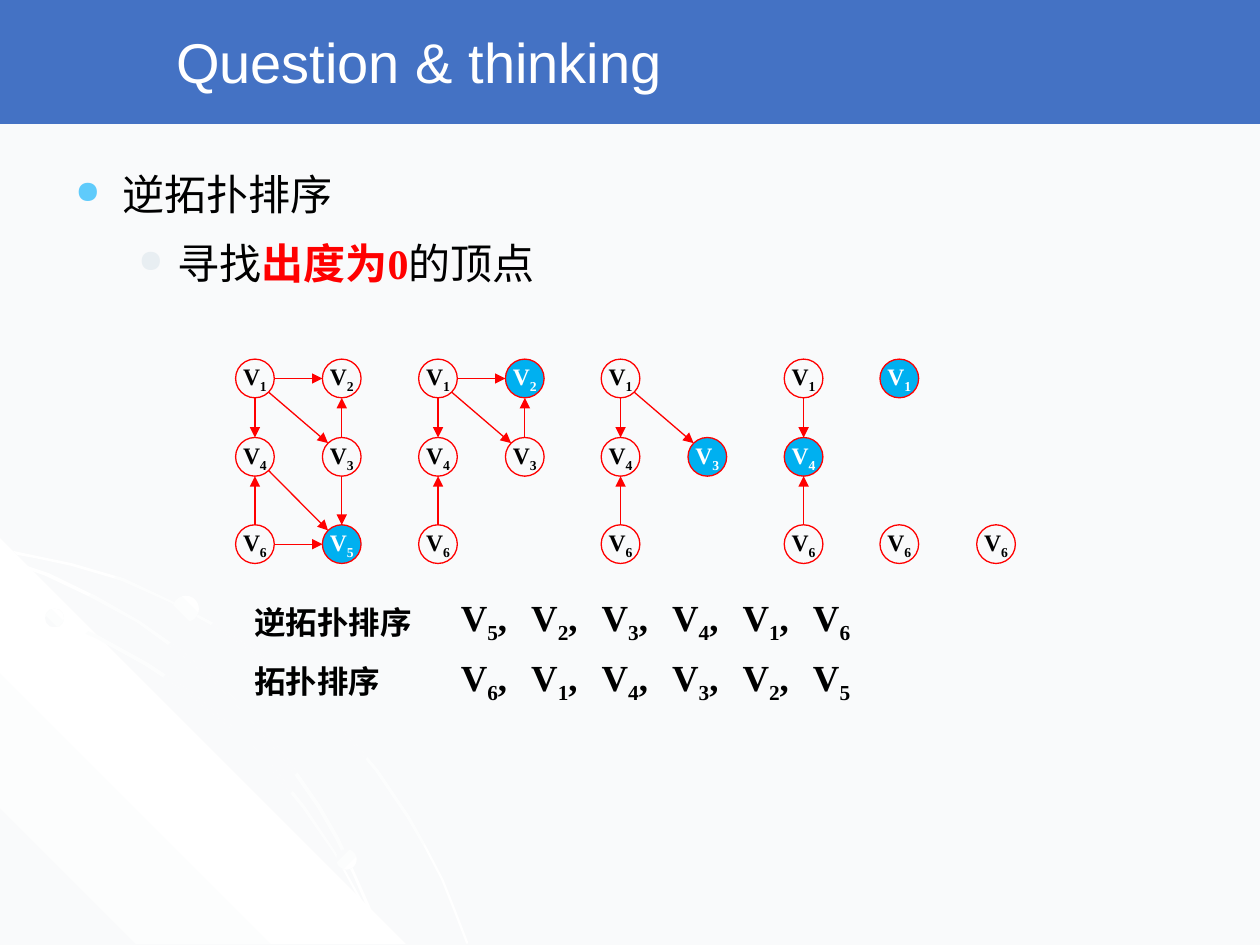
from lxml import etree
from pptx import Presentation
from pptx.dml.color import RGBColor
from pptx.enum.shapes import MSO_CONNECTOR, MSO_SHAPE
from pptx.enum.text import MSO_ANCHOR, MSO_AUTO_SIZE, PP_ALIGN
from pptx.oxml.ns import qn
from pptx.util import Cm, Pt

OVAL, RECTANGLE = MSO_SHAPE.OVAL, MSO_SHAPE.RECTANGLE
STRAIGHT = MSO_CONNECTOR.STRAIGHT
MIDDLE, CENTER = MSO_ANCHOR.MIDDLE, PP_ALIGN.CENTER
FIT_SHAPE = MSO_AUTO_SIZE.SHAPE_TO_FIT_TEXT

PALE = RGBColor(0xF9, 0xFA, 0xFB)
WHITE = RGBColor(0xFF, 0xFF, 0xFF)
BLACK = RGBColor(0, 0, 0)
RED = RGBColor(0xFF, 0, 0)
BANNER_BLUE = RGBColor(0x44, 0x72, 0xC4)
SINK_BLUE = RGBColor(0, 0xB0, 0xF0)
SKY_BULLET = RGBColor(0x5F, 0xCB, 0xFB)
GREY_BULLET = RGBColor(0xE8, 0xEE, 0xF2)

POSITIONS = {1: (0, 7.63), 2: (1.75, 7.63), 4: (0, 9.21),
             3: (1.75, 9.21), 6: (0, 10.97), 5: (1.75, 10.97)}
EDGES = [(1, 2), (1, 4), (1, 3), (4, 5), (3, 2), (6, 4), (6, 5), (3, 5)]
REVERSE_ORDER = [5, 2, 3, 4, 1, 6]
STAGE_CENTERS = [5.14, 8.83, 12.51, 16.2, 18.13, 20.08]
RADIUS = 0.39

OUTER_STREAK = [
    (57, 447), (28, 441), (0, 435), (0, 438), (28, 443), (56, 449), (97, 461),
    (135, 478), (173, 499), (208, 523), (241, 549), (271, 579), (298, 612),
    (323, 649), (337, 673), (350, 698), (360, 723), (370, 749), (372, 749),
    (362, 723), (352, 698), (339, 673), (325, 648), (300, 611), (272, 578),
    (242, 548), (209, 521), (174, 497), (136, 477), (98, 459)]
CORNER = [(322, 749), (0, 749), (0, 427)]
LOWER_STREAK = [
    (285, 714), (294, 732), (301, 749), (303, 749), (296, 730), (286, 712),
    (266, 676), (242, 640), (215, 606), (184, 576), (152, 549), (117, 526),
    (79, 505), (41, 488), (0, 475), (0, 477), (39, 490), (77, 507), (115, 528),
    (150, 551), (183, 578), (213, 608), (240, 641), (265, 677)]
MIDDLE_STREAK = [
    (0, 442), (0, 444), (36, 457), (74, 475), (109, 494), (142, 518),
    (173, 544), (202, 575), (227, 605), (252, 641), (267, 667), (280, 694),
    (292, 722), (301, 749), (303, 749), (294, 720), (282, 693), (269, 665),
    (254, 639), (229, 603), (204, 573), (175, 543), (144, 516), (111, 493),
    (76, 473), (39, 455)]


def add_run(paragraph, text, size=24, color=BLACK, bold=False,
            font="Times New Roman", baseline=0):
    run = paragraph.add_run()
    run.text = text
    run.font.size = Pt(size)
    run.font.name = font
    run.font.bold = bold
    run.font.color.rgb = color
    if baseline:
        run._r.get_or_add_rPr().set("baseline", str(baseline * 1000))


def add_vertex_name(paragraph, number, **style):
    add_run(paragraph, "V", **style)
    add_run(paragraph, str(number), baseline=-25, **style)


class SlideBuilder:
    def __init__(self, slide):
        self.slide = slide
        self.shapes = slide.shapes
        slide.background.fill.solid()
        slide.background.fill.fore_color.rgb = PALE

    def start_group(self):
        self.shapes = self.slide.shapes.add_group_shape().shapes

    def end_group(self):
        self.shapes = self.slide.shapes

    def shape(self, kind, left, top, width, height, fill=None, line=None, weight=0.75):
        shape = self.shapes.add_shape(kind, Cm(left), Cm(top), Cm(width), Cm(height))
        shape.shadow.inherit = False
        if fill is None:
            shape.fill.background()
        else:
            shape.fill.solid()
            shape.fill.fore_color.rgb = fill
        if line is None:
            shape.line.fill.background()
        else:
            shape.line.color.rgb = line
            shape.line.width = Pt(weight)
        return shape

    def gradient(self, shape, colors, angle):
        shape.fill.gradient()
        shape.fill.gradient_angle = 360 - angle
        stops = shape._element.spPr.find(".//" + qn("a:gsLst"))
        for stop in list(stops):
            stops.remove(stop)
        for index, color in enumerate(colors):
            position = 100000 * index // (len(colors) - 1)
            stop = etree.SubElement(stops, qn("a:gs"), pos=str(position))
            etree.SubElement(stop, qn("a:srgbClr"), val=str(color))

    def outline(self, points, colors, angle):
        builder = self.shapes.build_freeform(*points[0], scale=Cm(2.54) / 100)
        builder.add_line_segments(points[1:], close=True)
        outline = builder.convert_to_shape()
        outline.shadow.inherit = False
        outline.line.fill.background()
        self.gradient(outline, colors, angle)

    def dot(self, left, top, size, angle):
        self.gradient(self.shape(OVAL, left, top, size, size), [PALE, WHITE], angle)

    def text(self, left, top, width, height, wrap=False):
        box = self.shapes.add_textbox(Cm(left), Cm(top), Cm(width), Cm(height))
        frame = box.text_frame
        frame.word_wrap = wrap
        if not wrap:
            frame.auto_size = FIT_SHAPE
        return frame

    def bullet(self, paragraph, color, margin, hanging):
        paragraph.line_spacing = 1.2
        properties = paragraph._p.get_or_add_pPr()
        properties.set("marL", str(Cm(margin)))
        properties.set("indent", str(-Cm(hanging)))
        tint = etree.SubElement(properties, qn("a:buClr"))
        etree.SubElement(tint, qn("a:srgbClr"), val=str(color))
        etree.SubElement(properties, qn("a:buSzPct"), val="75000")
        etree.SubElement(properties, qn("a:buChar"), char="●")

    def vertex(self, number, x, y, is_sink):
        circle = self.shape(OVAL, x - RADIUS, y - RADIUS, 2 * RADIUS, 2 * RADIUS,
                            fill=SINK_BLUE if is_sink else None, line=RED)
        frame = circle.text_frame
        frame.margin_left = frame.margin_right = 0
        frame.margin_top = frame.margin_bottom = 0
        frame.word_wrap = False
        frame.vertical_anchor = MIDDLE
        label = frame.paragraphs[0]
        label.alignment = CENTER
        add_vertex_name(label, number, size=13.5, bold=True,
                        color=WHITE if is_sink else BLACK)

    def edge(self, x1, y1, x2, y2):
        step_x = (x2 > x1) - (x2 < x1)
        step_y = (y2 > y1) - (y2 < y1)
        reach = RADIUS * (0.71 if step_x and step_y else 1)
        dx, dy = step_x * reach, step_y * reach
        arrow = self.shapes.add_connector(STRAIGHT, Cm(x1 + dx), Cm(y1 + dy),
                                          Cm(x2 - dx), Cm(y2 - dy))
        arrow.line.color.rgb = RED
        arrow.line.width = Pt(0.75)
        etree.SubElement(arrow.line._get_or_add_ln(), qn("a:tailEnd"), type="triangle")
        etree.SubElement(arrow._element.spPr, qn("a:effectLst"))

    def stage(self, center, remaining, sink):
        places = {v: (center + x, y) for v, (x, y) in POSITIONS.items() if v in remaining}
        self.start_group()
        for number, place in places.items():
            self.vertex(number, *place, is_sink=number == sink)
        for source, target in EDGES:
            if source in places and target in places:
                self.edge(*places[source], *places[target])
        self.end_group()

    def sequence(self, title, order, title_top, title_width, top):
        add_run(self.text(4.88, title_top, title_width, 1.02).paragraphs[0],
                title, size=18, bold=True)
        for index, number in enumerate(order):
            is_last = index == len(order) - 1
            frame = self.text(9.04 + 1.42 * index, top, 1.27 if is_last else 1.68, 1.14)
            entry = frame.paragraphs[0]
            add_vertex_name(entry, number, size=21, bold=True)
            if not is_last:
                add_run(entry, ",", size=21, bold=True)


def main():
    deck = Presentation()
    deck.slide_width, deck.slide_height = Cm(25.4), Cm(19.05)
    page = SlideBuilder(deck.slides.add_slide(deck.slide_layouts[6]))

    page.start_group()
    page.outline(OUTER_STREAK, [WHITE, PALE, WHITE], 45)
    page.outline(CORNER, [PALE, WHITE, PALE], 315)
    page.outline(LOWER_STREAK, [WHITE, PALE, WHITE], 45)
    page.outline(MIDDLE_STREAK, [WHITE, PALE, WHITE], 45)
    page.dot(0.91, 12.27, 0.38, 315)
    page.dot(6.78, 17.12, 0.41, 45)
    page.dot(3.48, 12.01, 0.53, 315)
    page.end_group()

    page.shape(RECTANGLE, 0, 0, 25.4, 2.46, fill=BANNER_BLUE, line=BANNER_BLUE, weight=2)
    heading = page.text(3.3, 0.08, 20.83, 2.29, wrap=True)
    heading.vertical_anchor = MIDDLE
    add_run(heading.paragraphs[0], "Question & thinking", size=32, color=WHITE, font="Arial")

    body = page.text(1.27, 3.07, 22.86, 14.5, wrap=True)
    topic = body.paragraphs[0]
    page.bullet(topic, SKY_BULLET, 0.95, 0.95)
    add_run(topic, "逆拓扑排序")
    rule = body.add_paragraph()
    rule.level = 1
    rule.space_before = Pt(4.8)
    page.bullet(rule, GREY_BULLET, 2.06, 0.79)
    add_run(rule, "寻找")
    add_run(rule, "出度为0", color=RED, bold=True)
    add_run(rule, "的顶点")

    for index, center in enumerate(STAGE_CENTERS):
        remaining = REVERSE_ORDER[index:]
        page.stage(center, remaining, remaining[0] if len(remaining) > 1 else None)

    page.sequence("逆拓扑排序", REVERSE_ORDER, 12.04, 3.71, 11.86)
    page.sequence("拓扑排序", REVERSE_ORDER[::-1], 13.23, 3.07, 13.08)
    deck.save("out.pptx")


if __name__ == "__main__":
    main()
